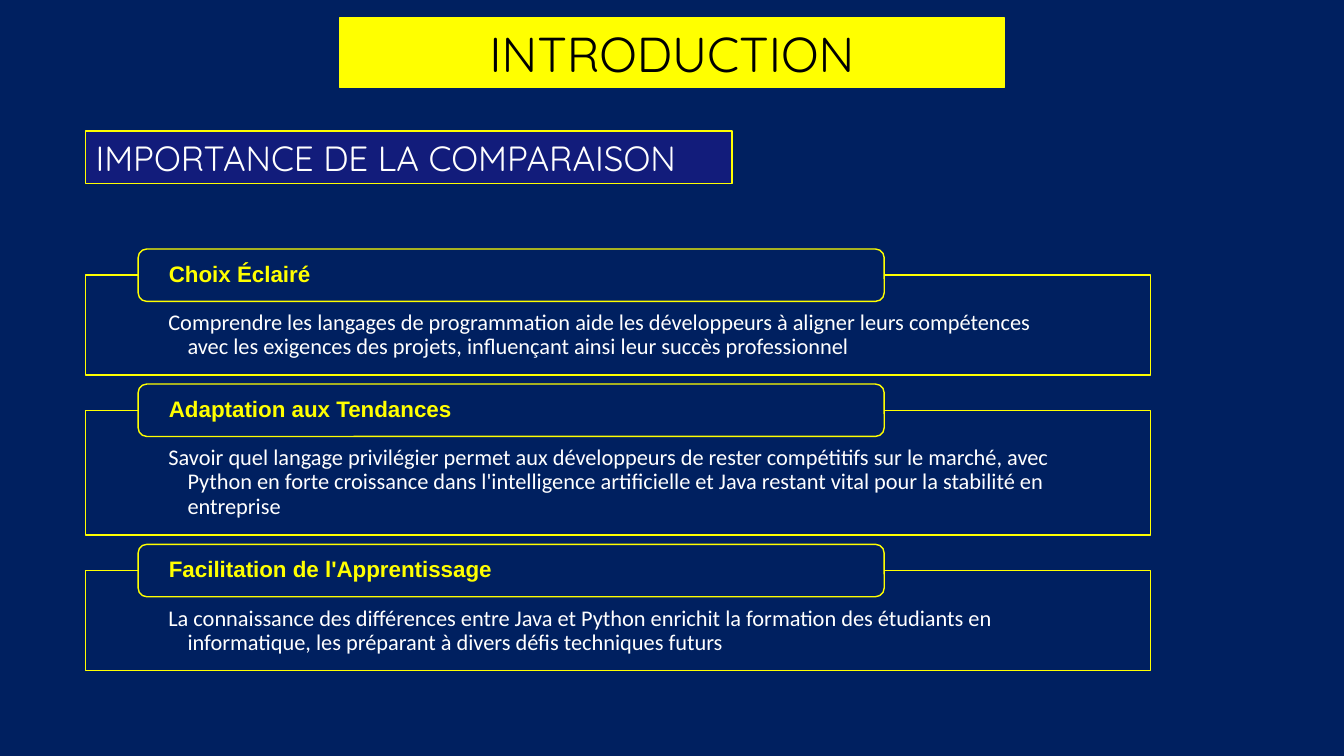
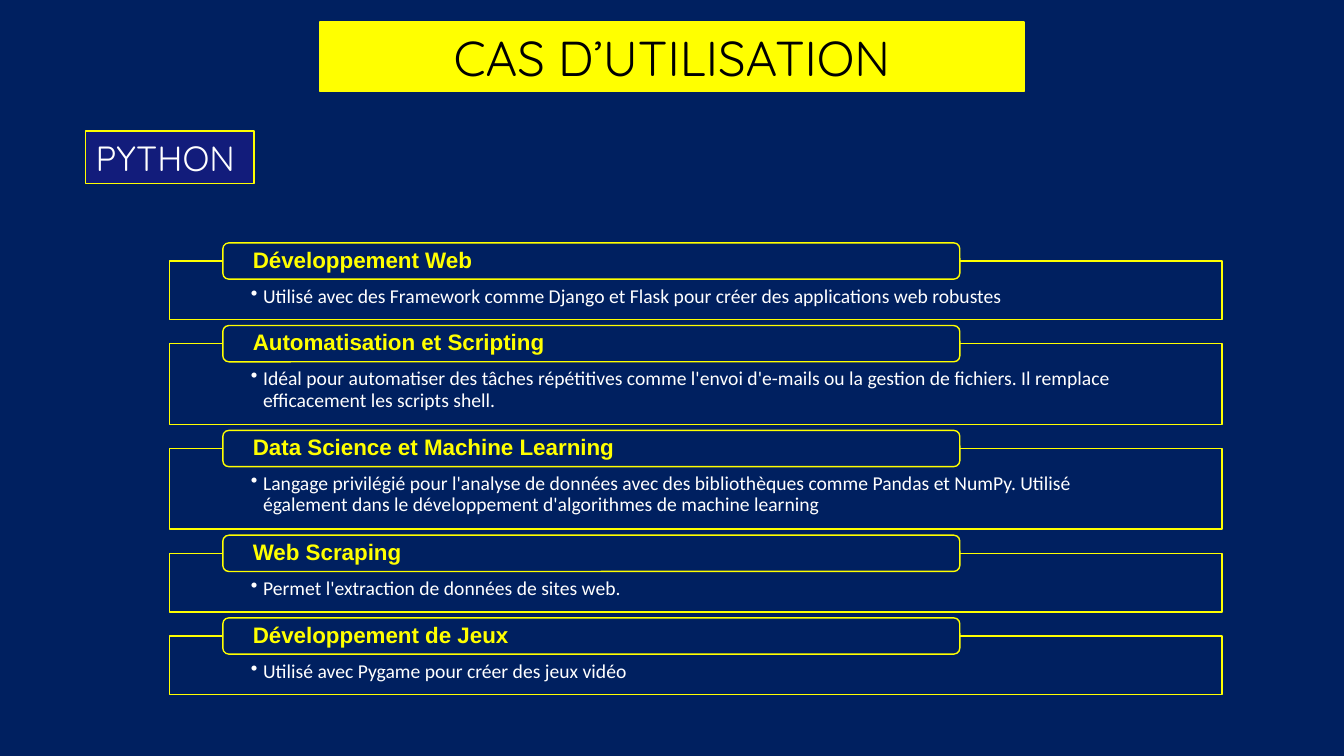
import pptx
import pptx.util
import pptx.dml.color
import pptx.enum.shapes
import pptx.enum.text
from lxml import etree

Inches = pptx.util.Inches
RGBColor = pptx.dml.color.RGBColor
MSO_SHAPE = pptx.enum.shapes.MSO_SHAPE
ANCHOR = pptx.enum.text.MSO_ANCHOR
ALIGN = pptx.enum.text.PP_ALIGN

NAVY = RGBColor(0x00, 0x20, 0x60)
INDIGO = RGBColor(0x12, 0x1C, 0x7B)
YELLOW = RGBColor(0xFF, 0xFF, 0x00)
WHITE = RGBColor(0xFF, 0xFF, 0xFF)
BLACK = RGBColor(0x00, 0x00, 0x00)

SLIDE_WIDTH, SLIDE_HEIGHT = 13.33, 7.5

# Lengths are inches; each topic is (label, description, lines of description).
SLIDES = [
    {
        "title": "INTRODUCTION", "title_top": 0.18, "title_width": 6.59,
        "heading": "IMPORTANCE DE LA COMPARAISON", "heading_width": 6.41,
        "layout": dict(left=0.85, top=2.47, width=10.56, gap=0.09,
                       label_offset=0.52, label_width=7.4, label_height=0.52,
                       panel_base=0.49, line_height=0.25,
                       insets=(0.82, 0.36, 0.82, 0.12),
                       size=16, hanging=0.19, bullet=None),
        "topics": [
            ("Choix Éclairé",
             "Comprendre les langages de programmation aide les développeurs à aligner leurs "
             "compétences avec les exigences des projets, influençant ainsi leur succès "
             "professionnel", 2),
            ("Adaptation aux Tendances",
             "Savoir quel langage privilégier permet aux développeurs de rester compétitifs sur "
             "le marché, avec Python en forte croissance dans l'intelligence artificielle et "
             "Java restant vital pour la stabilité en entreprise", 3),
            ("Facilitation de l'Apprentissage",
             "La connaissance des différences entre Java et Python enrichit la formation des "
             "étudiants en informatique, les préparant à divers défis techniques futurs", 2),
        ],
    },
    {
        "title": "CAS D’UTILISATION", "title_top": 0.22, "title_width": 6.98,
        "heading": "PYTHON", "heading_width": 1.67,
        "layout": dict(left=1.68, top=2.41, width=10.44, gap=0.06,
                       label_offset=0.53, label_width=7.31, label_height=0.36,
                       panel_base=0.36, line_height=0.22,
                       insets=(0.81, 0.25, 0.81, 0.11),
                       size=14, hanging=0.12, bullet="•"),
        "topics": [
            ("Développement Web",
             "Utilisé avec des Framework comme Django et Flask pour créer des applications web "
             "robustes", 1),
            ("Automatisation et Scripting",
             "Idéal pour automatiser des tâches répétitives comme l'envoi d'e-mails ou la "
             "gestion de fichiers. Il remplace efficacement les scripts shell.", 2),
            ("Data Science et Machine Learning",
             "Langage privilégié pour l'analyse de données avec des bibliothèques comme Pandas "
             "et NumPy. Utilisé également dans le développement d'algorithmes de machine "
             "learning", 2),
            ("Web Scraping", "Permet l'extraction de données de sites web.", 1),
            ("Développement de Jeux", "Utilisé avec Pygame pour créer des jeux vidéo", 1),
        ],
    },
]


def write(shape, text, *, size, font="Quicksand", color=WHITE, bold=False,
          align=ALIGN.LEFT, anchor=ANCHOR.MIDDLE, insets=(0.1, 0.05, 0.1, 0.05),
          spacing=1.0, hanging=0, bullet=None):
    frame = shape.text_frame
    frame.word_wrap = True
    frame.auto_size = pptx.enum.text.MSO_AUTO_SIZE.NONE
    frame.vertical_anchor = anchor
    (frame.margin_left, frame.margin_top,
     frame.margin_right, frame.margin_bottom) = map(Inches, insets)
    paragraph = frame.paragraphs[0]
    paragraph.alignment = align
    paragraph.line_spacing = spacing
    run = paragraph.add_run()
    run.text = text
    run.font.size = pptx.util.Pt(size)
    run.font.name = font
    run.font.bold = bold
    run.font.color.rgb = color
    if hanging:
        properties = paragraph._p.get_or_add_pPr()
        properties.set("marL", str(Inches(hanging)))
        properties.set("indent", str(-Inches(hanging)))
        if bullet:
            namespace = properties.nsmap["a"]
            etree.SubElement(properties, f"{{{namespace}}}buChar", char=bullet)


def paint(shape, fill):
    """Give a shape its fill and the yellow outline common to all boxes."""
    shape.fill.solid()
    shape.fill.fore_color.rgb = fill
    shape.line.color.rgb = YELLOW
    shape.line.width = pptx.util.Pt(1)


def add_box(slide, kind, left, top, width, height, fill):
    box = slide.shapes.add_shape(kind, *map(Inches, (left, top, width, height)))
    box.shadow.inherit = False
    paint(box, fill)
    return box


def add_title(slide, text, top, width):
    title = slide.shapes.title
    title.left, title.top = Inches((SLIDE_WIDTH - width) / 2), Inches(top)
    title.width, title.height = Inches(width), Inches(0.69)
    paint(title, YELLOW)
    write(title, text, size=35, color=BLACK, align=ALIGN.CENTER)


def add_topics(slide, topics, *, left, top, width, gap, label_offset, label_width,
               label_height, panel_base, line_height, insets, size, hanging, bullet):
    """Stack panels whose top edge runs through the middle of their label."""
    for label_text, description, lines in topics:
        panel_top = top + label_height / 2
        panel_height = panel_base + lines * line_height
        panel = add_box(slide, MSO_SHAPE.RECTANGLE, left, panel_top, width, panel_height, NAVY)
        write(panel, description, size=size, font="Calibri", anchor=ANCHOR.TOP,
              insets=insets, spacing=0.9, hanging=hanging, bullet=bullet)
        label = add_box(slide, MSO_SHAPE.ROUNDED_RECTANGLE, left + label_offset, top,
                        label_width, label_height, NAVY)
        write(label, label_text, size=16, font="Arial", color=YELLOW, bold=True,
              insets=(0.28, 0, 0.28, 0), spacing=0.9)
        top = panel_top + panel_height + gap


def main():
    prs = pptx.Presentation()
    prs.slide_width, prs.slide_height = Inches(SLIDE_WIDTH), Inches(SLIDE_HEIGHT)
    background = prs.slide_master.background.fill
    background.solid()
    background.fore_color.rgb = NAVY
    title_only = prs.slide_layouts.get_by_name("Title Only")
    for content in SLIDES:
        slide = prs.slides.add_slide(title_only)
        add_title(slide, content["title"], content["title_top"], content["title_width"])
        heading = add_box(slide, MSO_SHAPE.RECTANGLE, 0.85, 1.3,
                          content["heading_width"], 0.52, INDIGO)
        write(heading, content["heading"], size=25)
        add_topics(slide, content["topics"], **content["layout"])
    prs.save("out.pptx")


if __name__ == "__main__":
    main()
